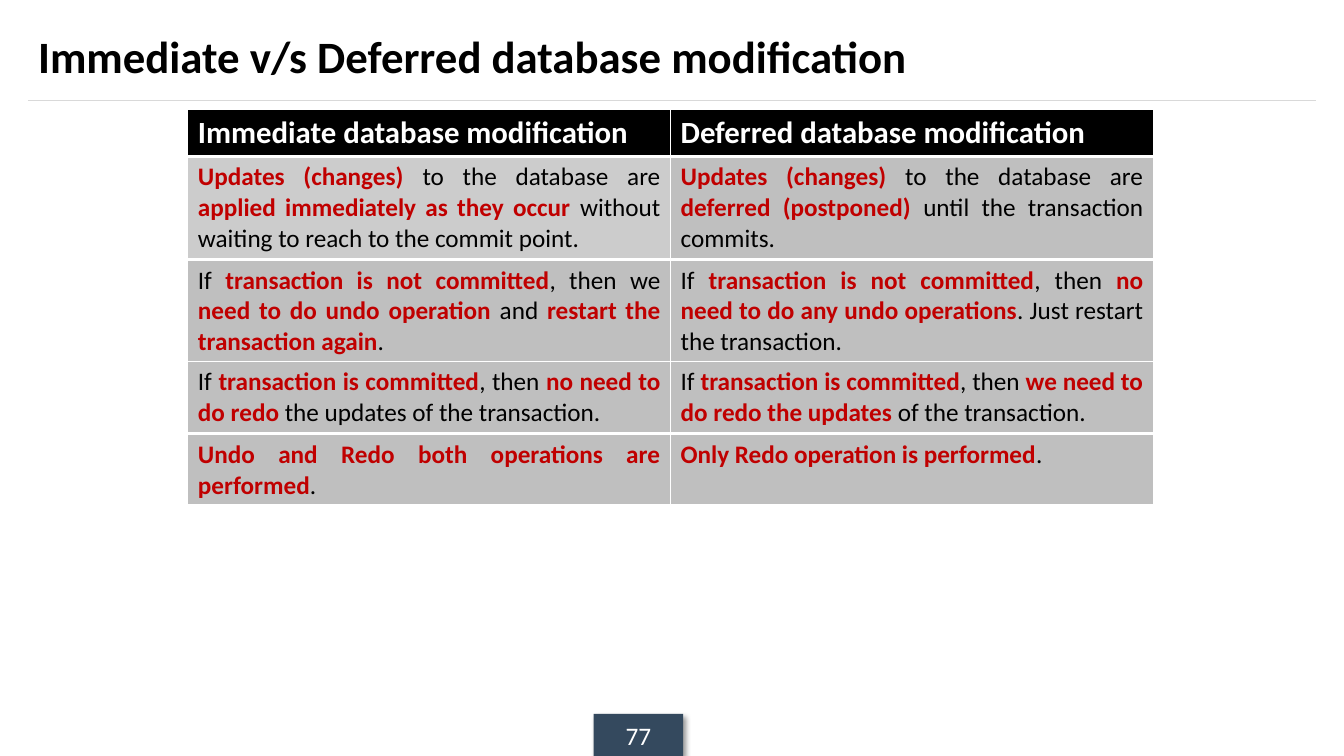
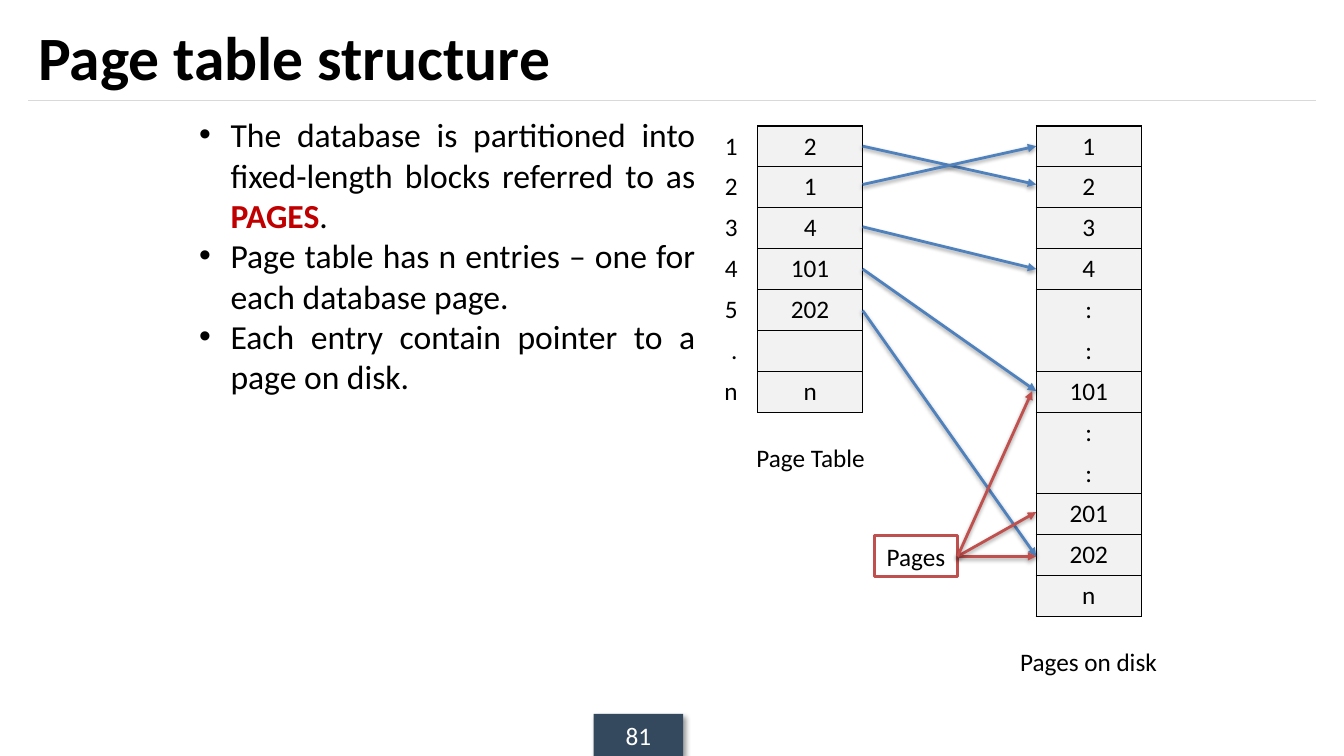
from pptx import Presentation
from pptx.dml.color import RGBColor
from pptx.enum.shapes import MSO_CONNECTOR, MSO_SHAPE
from pptx.enum.text import MSO_ANCHOR, MSO_AUTO_SIZE, PP_ALIGN
from pptx.oxml import parse_xml
from pptx.oxml.ns import nsdecls, qn
from pptx.util import Pt

LEFT, RIGHT, MID, FULL = PP_ALIGN.LEFT, PP_ALIGN.RIGHT, PP_ALIGN.CENTER, PP_ALIGN.JUSTIFY
MIDDLE, RECT, LINE = MSO_ANCHOR.MIDDLE, MSO_SHAPE.RECTANGLE, MSO_CONNECTOR.STRAIGHT
NO_FIT = MSO_AUTO_SIZE.NONE
NS = nsdecls("a")


class Theme:
    font = "Calibri"
    black, white, red = "000000", "FFFFFF", "C00000"
    rule, navy = "D9D9D9", "34495E"
    light, gray, pale = "CCCCCC", "BFBFBF", "F2F2F2"
    blue, brick = "4F81BD", "C0504D"
    body, head, point = 18, 22, 24


SHADOW = (f'<a:effectLst {NS}><a:outerShdw blurRad="{{}}" dist="{{}}" dir="{{}}" rotWithShape="0">'
          f'<a:srgbClr val="{Theme.black}"><a:alpha val="{{}}"/></a:srgbClr></a:outerShdw></a:effectLst>')


def write(frame, lines, size=Theme.body, color=Theme.black, align=MID, bold=False, bullet=False):
    """Fill a frame; words between asterisks turn red and bold."""
    frame.word_wrap = True
    for i, line in enumerate(lines):
        para = frame.paragraphs[0] if i == 0 else frame.add_paragraph()
        para.alignment = align
        if bullet:
            props = para._p.get_or_add_pPr()
            props.set("marL", str(Pt(22.5)))
            props.set("indent", str(-Pt(22.5)))
            props.append(parse_xml(f'<a:buFont {NS} typeface="Arial"/>'))
            props.append(parse_xml(f'<a:buChar {NS} char="•"/>'))
        for k, part in enumerate(line.split("*")):
            if part:
                run = para.add_run()
                run.text = part
                run.font.name, run.font.size = Theme.font, Pt(size)
                run.font.bold = bold or k % 2 == 1
                run.font.color.rgb = RGBColor.from_string(Theme.red if k % 2 else color)


def grid(slide, left, top, width, rows, heights, edge=None, fill=None, align=MID, base=1):
    """Add a plain table; neighbouring ':' cells share no border."""
    cols = len(rows[0])
    table = slide.shapes.add_table(len(rows), cols, Pt(left), Pt(top), Pt(width), Pt(sum(heights))).table
    table.first_row = table.horz_banding = False
    for col in table.columns:
        col.width = Pt(width / cols)
    for r, row in enumerate(rows):
        table.rows[r].height = Pt(heights[r])
        for c, text in enumerate(row):
            cell = table.cell(r, c)
            props = cell._tc.get_or_add_tcPr()
            above = r > 0 and text == rows[r - 1][c] == ":"
            below = r + 1 < len(rows) and text == rows[r + 1][c] == ":"
            for side, bare, thick in (("L", False, 1), ("R", False, 1), ("T", above, 1), ("B", below, base)):
                paint = "<a:noFill/>" if bare or not edge else f'<a:solidFill><a:srgbClr val="{edge}"/></a:solidFill>'
                props.append(parse_xml(f'<a:ln{side} {NS} w="{Pt(thick)}">{paint}</a:ln{side}>'))
            if fill:
                cell.fill.solid()
                cell.fill.fore_color.rgb = RGBColor.from_string(fill)
            else:
                cell.fill.background()
            write(cell.text_frame, [text], align=align)
    return table


deck = Presentation()
deck.slide_width, deck.slide_height = Pt(960), Pt(540)

# Shared title, rule and page number
slides = []
for name, size, page in (("Immediate v/s Deferred database modification", 32, "77"),
                         ("Page table structure", 44, "81")):
    slide = deck.slides.add_slide(deck.slide_layouts[5])
    slides.append(slide)
    title = slide.shapes.title
    title.left, title.top, title.width, title.height = Pt(20), Pt(8.3), Pt(920), Pt(63.4)
    title.text_frame.auto_size = NO_FIT
    title.text_frame.vertical_anchor = MIDDLE
    write(title.text_frame, [name], size, align=LEFT, bold=True)
    rule = slide.shapes.add_connector(LINE, Pt(20), Pt(72), Pt(940), Pt(72))
    rule.line.color.rgb = RGBColor.from_string(Theme.rule)
    rule.line.width = Pt(0.75)
    rule._element.spPr.append(parse_xml(f"<a:effectLst {NS}/>"))
    badge = slide.shapes.add_shape(RECT, Pt(424), Pt(510), Pt(64), Pt(30))
    badge.fill.solid()
    badge.fill.fore_color.rgb = RGBColor.from_string(Theme.navy)
    badge.line.fill.background()
    badge._element.spPr.append(parse_xml(SHADOW.format(Pt(4), Pt(3), 45 * 60000, 40000)))
    badge.text_frame.vertical_anchor = MIDDLE
    write(badge.text_frame, [page], color=Theme.white)
first, second = slides

# Comparison: a headed table, then one table for each further point
heads = ["Immediate database modification", "Deferred database modification"]
opening = ["*Updates (changes) *to the database are *applied immediately as they occur *"
           "without waiting to reach to the commit point.",
           "*Updates (changes) *to the database are *deferred (postponed) *until the transaction commits."]
facts = [
    (185.8, 72, ["If *transaction is not committed*, then we *need to do undo operation *and "
                 "*restart the transaction again*. ",
                 "If *transaction is not committed*, then *no need to do any undo operations*. "
                 "Just restart the transaction."]),
    (258.5, 50.4, ["If *transaction is committed*, then *no need to do redo* the updates of the transaction. ",
                   "If *transaction is committed*, then *we need to do redo the updates* of the transaction. "]),
    (310.3, 50.4, ["*Undo and Redo both operations are performed*.", "*Only Redo operation is performed*."]),
]
side, span = 134.2, 689.6
table = grid(first, side, 77.8, span, [["", ""], opening], [33.8, 72], Theme.white, Theme.gray, FULL)
table.first_row = True
table.cell(1, 0).fill.fore_color.rgb = RGBColor.from_string(Theme.light)
for c, head in enumerate(heads):
    cell = table.cell(0, c)
    cell.fill.fore_color.rgb = RGBColor.from_string(Theme.black)
    cell._tc.tcPr.find(qn("a:lnB")).set("w", str(Pt(3)))
    table.cell(1, c)._tc.tcPr.find(qn("a:lnT")).set("w", str(Pt(3)))
    write(cell.text_frame, [head], Theme.head, Theme.white, LEFT, bold=True)
for y, high, pair in facts:
    grid(first, side, y, span, [pair], [high], Theme.white, Theme.gray, FULL, base=3)

# Page table, its row labels and the disk
top, step = 90, 29.2
near, far, wide = 541.2, 740.2, 75
labels = ["1", "2", "3", "4", "5", ".", "n"]
entries = ["2", "1", "4", "101", "202", "", "n"]
disk = ["1", "2", "3", "4", ":", ":", "101", ":", ":", "201", "202", "n"]
for left, width, items, edge, fill, align in (
        (near, wide, entries, Theme.black, Theme.pale, MID),
        (504, 30, labels, None, None, RIGHT),
        (far, wide, disk, Theme.black, Theme.pale, MID)):
    grid(second, left, top, width, [[item] for item in items], [step] * len(items), edge, fill, align)

# Captions
for text, left, y, width in (("Page Table", 531, 312.5, 96), ("Pages on disk", 721.5, 458.3, 112)):
    box = second.shapes.add_textbox(Pt(left), Pt(y), Pt(width), Pt(29))
    write(box.text_frame, [text])

# Bullet points
points = second.shapes.add_textbox(Pt(135.1), Pt(78), Pt(368.8), Pt(211))
write(points.text_frame, [
    "The database is partitioned into fixed-length blocks referred to as *PAGES*.",
    "Page table has n entries – one for each database page.",
    "Each entry contain pointer to a page on disk.",
], Theme.point, align=FULL, bullet=True)

# Pages box
box = second.shapes.add_shape(RECT, Pt(624.4), Pt(382.7), Pt(59.6), Pt(29))
box.shadow.inherit = False
box.fill.solid()
box.fill.fore_color.rgb = RGBColor.from_string(Theme.white)
box.line.color.rgb = RGBColor.from_string(Theme.brick)
box.line.width = Pt(2)
write(box.text_frame, ["Pages"])

# Arrows to the disk pages
ports = {"1": 104.4, "2": 131.8, "4": 192.2, "101": 279.4, "201": 365.8, "202": 397.4}
starts = [104.4, 131.8, 162, 192.2, 221.8]
arrows = [(near + wide, y, far, page, Theme.blue) for y, page in zip(starts, entries)]
arrows += [(684, ports["202"], end, page, Theme.brick)
           for end, page in ((far, "202"), (far, "201"), (737.3, "101"))]
for x, y, end, page, color in arrows:
    arrow = second.shapes.add_connector(LINE, Pt(x), Pt(y), Pt(end), Pt(ports[page]))
    arrow.line.color.rgb = RGBColor.from_string(color)
    arrow.line.width = Pt(2)
    props = arrow._element.spPr
    props.find(qn("a:ln")).append(parse_xml(f'<a:tailEnd {NS} type="triangle"/>'))
    props.append(parse_xml(SHADOW.format(Pt(3.1), Pt(1.6), 90 * 60000, 38000)))

deck.save("out.pptx")
